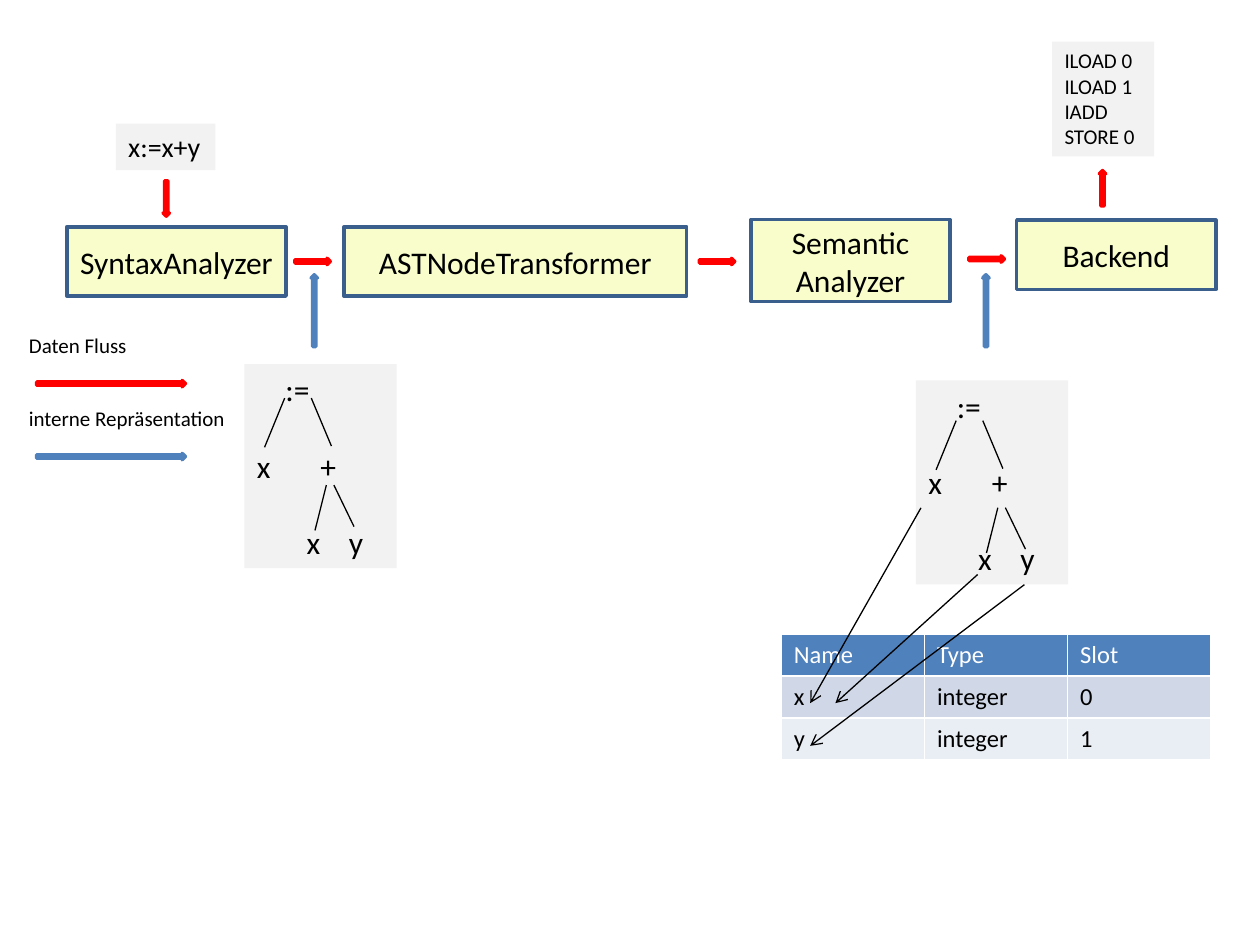
"""Build the compiler pipeline slide with syntax trees and a symbol table."""
from dataclasses import dataclass

from lxml import etree
from pptx import Presentation
from pptx import util as u
from pptx.dml.color import RGBColor
from pptx.enum import shapes, text
from pptx.oxml.ns import qn


@dataclass(frozen=True)
class Theme:
    font: str = "Calibri"
    ink: str = "000000"
    white: str = "FFFFFF"
    stage_fill: str = "F8FDCB"
    stage_edge: str = "3A5F8C"
    panel: str = "F2F2F2"
    data: str = "FF0000"
    internal: str = "4F81BD"
    bands: tuple = ("D0D8E8", "E9EDF4")
    small: int = 12
    cell: int = 14
    code: int = 16
    large: int = 18
    heavy: float = 2
    thin: float = 0.75


class Diagram:
    def __init__(self, slide, theme):
        self.s = slide
        self.t = theme

    def paint(self, fill, color):
        fill.solid()
        fill.fore_color.rgb = RGBColor.from_string(color)

    def add_lines(self, tf, lines, size, color=None, align=text.PP_ALIGN.LEFT):
        tf.word_wrap = True
        for i, line in enumerate(lines):
            p = tf.paragraphs[0] if i == 0 else tf.add_paragraph()
            p.alignment = align
            r = p.add_run()
            r.text = line
            r.font.name = self.t.font
            r.font.size = u.Pt(size)
            r.font.bold = False
            r.font.color.rgb = RGBColor.from_string(color or self.t.ink)

    def shape(self, kind, box, fill, edge):
        sp = self.s.shapes.add_shape(kind, *map(u.Pt, box))
        sp.shadow.inherit = False
        self.paint(sp.fill, fill)
        self.paint(sp.line.fill, edge)
        sp.line.width = u.Pt(self.t.heavy)
        return sp

    def stage(self, label, *box):
        sp = self.shape(shapes.MSO_SHAPE.RECTANGLE, box, self.t.stage_fill, self.t.stage_edge)
        sp.text_frame.vertical_anchor = text.MSO_ANCHOR.MIDDLE
        self.add_lines(sp.text_frame, [label], self.t.large, align=text.PP_ALIGN.CENTER)

    def arrow(self, cx, cy, length, color, rotation=0):
        thick = 3.6
        box = (cx - length / 2, cy - thick / 2, length, thick)
        sp = self.shape(shapes.MSO_SHAPE.RIGHT_ARROW, box, self.t.internal, color)
        sp.rotation = rotation

    def label(self, lines, size, *box, fill=None):
        sp = self.s.shapes.add_textbox(*map(u.Pt, box))
        if fill:
            self.paint(sp.fill, fill)
        tf = sp.text_frame
        self.add_lines(tf, lines, size)
        tf.auto_size = text.MSO_AUTO_SIZE.SHAPE_TO_FIT_TEXT
        return tf

    def line(self, x1, y1, x2, y2, pointer=False):
        ends = map(u.Pt, (x1, y1, x2, y2))
        c = self.s.shapes.add_connector(shapes.MSO_CONNECTOR.STRAIGHT, *ends)
        self.paint(c.line.fill, self.t.ink)
        c.line.width = u.Pt(self.t.thin)
        props = c._element.spPr
        if pointer:
            etree.SubElement(props.find(qn("a:ln")), qn("a:tailEnd"), type="arrow")
        etree.SubElement(props, qn("a:effectLst"))

    def tree(self, x, y, branch_top):
        rows = [("\t:=", [16.3]), ("x\t+", [36.3]), ("\tx\ty", [28.5, 52.6])]
        tf = self.label([row for row, _ in rows], self.t.large, x, y, 87, 116.6, fill=self.t.panel)
        for i, (p, (_, stops)) in enumerate(zip(tf.paragraphs, rows)):
            p.space_before = u.Pt(22 if i else 0)
            tabs = etree.SubElement(p._p.get_or_add_pPr(), qn("a:tabLst"))
            for stop in stops:
                etree.SubElement(tabs, qn("a:tab"), pos=str(u.Pt(stop)), algn="l")
        top = y + branch_top
        for x1, y1, x2, y2 in [
            (23, 0, 11.5, 28.1),
            (38.2, 0, 49.7, 27.4),
            (51.1, 49.7, 62.6, 73.4),
            (46.8, 49.7, 40.3, 75.6),
        ]:
            self.line(x + x1, top + y1, x + x2, top + y2)

    def table(self, rows, x, y, col_width, row_height):
        size = (col_width * len(rows[0]), row_height * len(rows))
        frame = self.s.shapes.add_table(len(rows), len(rows[0]), *map(u.Pt, (x, y, *size)))
        for i, row in enumerate(rows):
            fill = self.t.bands[(i - 1) % 2] if i else self.t.internal
            color = self.t.ink if i else self.t.white
            for j, value in enumerate(row):
                cell = frame.table.cell(i, j)
                self.paint(cell.fill, fill)
                self.add_lines(cell.text_frame, [value], self.t.cell, color)


def main():
    prs = Presentation()
    prs.slide_width, prs.slide_height = u.Pt(720), u.Pt(540)
    t = Theme()
    d = Diagram(prs.slides.add_slide(prs.slide_layouts[6]), t)

    d.stage("SyntaxAnalyzer", 38.2, 129.6, 125.3, 39.6)
    d.stage("ASTNodeTransformer", 196.6, 129.6, 195.8, 39.6)
    d.stage("Semantic Analyzer", 429.1, 125.5, 113.8, 46.8)
    d.stage("Backend", 581, 125.8, 113.8, 39.6)

    for cx, cy, rotation in [
        (178.6, 149.4, 0),
        (409.7, 149.4, 0),
        (563.8, 148, 0),
        (95, 113.4, 90),
        (630, 107.6, 270),
    ]:
        d.arrow(cx, cy, 20.2, t.data, rotation)

    for caption, width, y, color in [
        ("Daten Fluss", 102.2, 186.5, t.data),
        ("interne Repräsentation", 129.6, 228.2, t.internal),
    ]:
        d.label([caption], t.small, 9.4, y, width, 21.6)
        d.arrow(63.4, y + 32.7, 85, color)

    bytecode = ["ILOAD 0", "ILOAD 1", "IADD", "STORE 0"]
    d.label(bytecode, t.small, 601.2, 23.8, 58.3, 65.5, fill=t.panel)
    d.label(["x:=x+y"], t.code, 66.2, 70.6, 56.9, 26.6, fill=t.panel)

    symbols = [("Name", "Type", "Slot"), ("x", "integer", "0"), ("y", "integer", "1")]
    d.table(symbols, 446.4, 362.2, 81.84, 24)

    d.tree(139.7, 208.1, 19.4)
    d.tree(523.4, 217.4, 23)
    d.line(558.7, 328.3, 477.4, 401.8, pointer=True)
    d.line(585.4, 334.1, 463, 426.2, pointer=True)
    d.line(526.3, 290.2, 463, 401.8, pointer=True)
    for cx in (179.6, 563.4):
        d.arrow(cx, 177.5, 41, t.internal, 270)

    prs.save("out.pptx")


if __name__ == "__main__":
    main()
